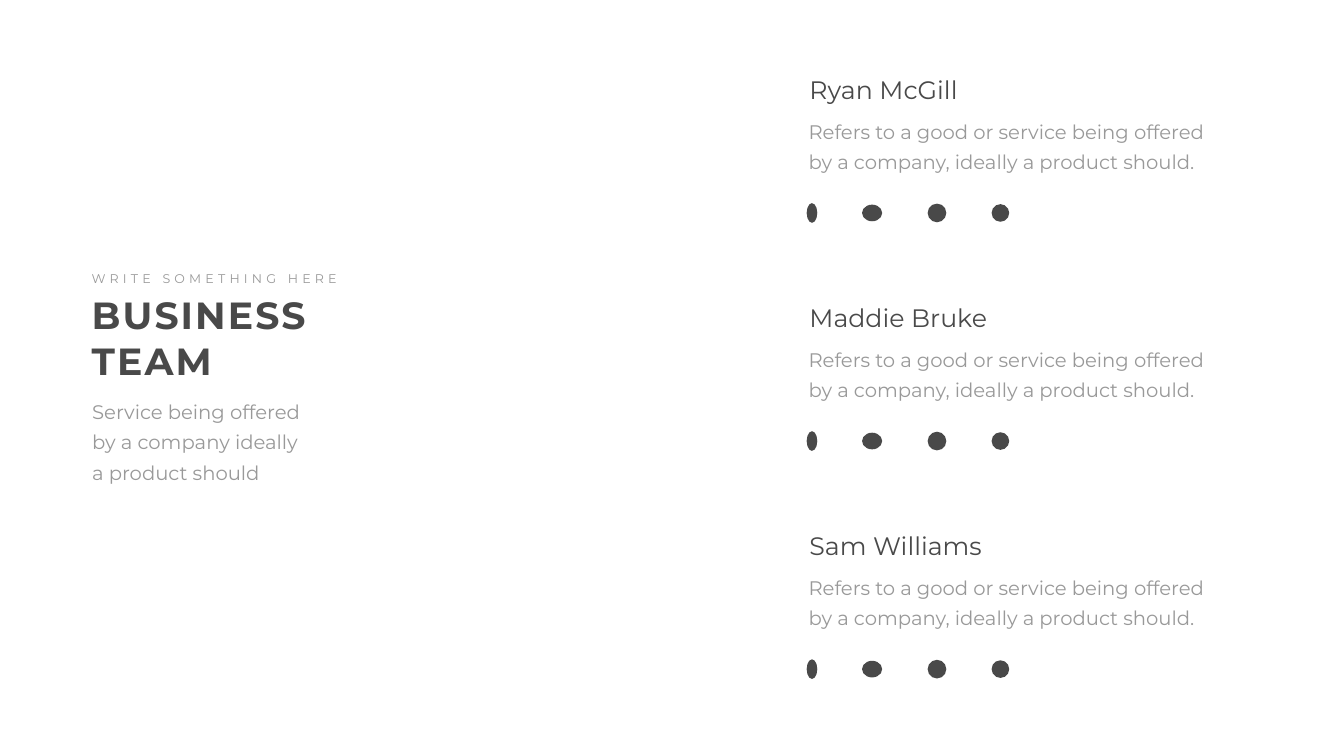
"""Build a business team slide with a heading block and three member profiles."""
from dataclasses import dataclass

from pptx import Presentation
from pptx.dml.color import RGBColor
from pptx.enum.shapes import MSO_SHAPE
from pptx.enum.text import MSO_ANCHOR, MSO_AUTO_SIZE, PP_ALIGN
from pptx.util import Inches, Pt


@dataclass(frozen=True)
class Theme:
    font: str = "Montserrat"
    dark: RGBColor = RGBColor(0x49, 0x49, 0x49)
    gray: RGBColor = RGBColor(0x99, 0x99, 0x99)
    heading: int = 54
    name: int = 36
    body: int = 28
    label: int = 18
    leading: int = 43


THEME = Theme()

LABEL = "WRITE SOMETHING HERE"
HEADING = "BUSINESS TEAM"
INTRODUCTION = "Service being offered by a company ideally a product should"
PROFILE = "Refers to a good or service being offered by a company, ideally a product should."
MEMBERS = ["Ryan McGill", "Maddie Bruke", "Sam Williams"]

WIDTH, HEIGHT = 26.66, 15
COLUMN, ROW = Inches(WIDTH) / 100, Inches(HEIGHT) / 100

LABEL_BOX = (6.45, 35.47, 19.43, 2.67)
HEADING_BOX = (6.45, 38.27, 19.43, 12.8)
INTRODUCTION_BOX = (5.96, 51.27, 18.19, 13.33)
NAME_BOX = (59.86, 9.53, 18.04, 4.73)
PROFILE_BOX = (59.26, 14.2, 32.86, 9.27)
ICONS = [(60.02, 0.79, 2.6), (64.14, 1.5, 2.2), (69.02, 1.39, 2.47), (73.78, 1.31, 2.33)]
ICON_MIDDLE = 28.17
MEMBER_PITCH = 30.17

BODY_FORMAT = dict(size=THEME.body, color=THEME.gray, leading=THEME.leading, inset=(0.24, 0.12))


def grid(left, top, width, height, shift=0):
    return (round(left * COLUMN), round((top + shift) * ROW),
            round(width * COLUMN), round(height * ROW))


def move(shape, box):
    shape.left, shape.top, shape.width, shape.height = box
    return shape


def write(shape, text, *, size, color, bold=False, tracking=0, leading=None,
          inset=(0.1, 0.05), wrap=True):
    frame = shape.text_frame
    frame.auto_size = MSO_AUTO_SIZE.NONE
    frame.word_wrap = wrap
    frame.vertical_anchor = MSO_ANCHOR.TOP
    frame.margin_left = frame.margin_right = Inches(inset[0])
    frame.margin_top = frame.margin_bottom = Inches(inset[1])
    paragraph = frame.paragraphs[0]
    paragraph.alignment = PP_ALIGN.LEFT
    paragraph.space_before = Pt(0)
    if leading:
        paragraph.line_spacing = Pt(leading)
    run = paragraph.add_run()
    run.text = text
    run.font.name = THEME.font
    run.font.size = Pt(size)
    run.font.bold = bold
    run.font.color.rgb = color
    if tracking:
        run._r.get_or_add_rPr().set("spc", str(tracking * 100))


def add_icon(slide, box):
    shape = slide.shapes.add_shape(MSO_SHAPE.OVAL, *box)
    shape.shadow.inherit = False
    shape.fill.solid()
    shape.fill.fore_color.rgb = THEME.dark
    shape.line.fill.background()


def add_member(slide, name, shift):
    write(slide.shapes.add_textbox(*grid(*PROFILE_BOX, shift)), PROFILE, **BODY_FORMAT)
    write(slide.shapes.add_textbox(*grid(*NAME_BOX, shift)), name,
          size=THEME.name, color=THEME.dark)
    for left, width, height in ICONS:
        add_icon(slide, grid(left, ICON_MIDDLE - height / 2, width, height, shift))


def main():
    presentation = Presentation()
    presentation.slide_width, presentation.slide_height = Inches(WIDTH), Inches(HEIGHT)
    slide = presentation.slides.add_slide(presentation.slide_layouts.get_by_name("Section Header"))
    write(move(slide.shapes.title, grid(*HEADING_BOX)), HEADING,
          size=THEME.heading, color=THEME.dark, bold=True, tracking=3)
    write(slide.shapes.add_textbox(*grid(*LABEL_BOX)), LABEL,
          size=THEME.label, color=THEME.gray, tracking=6, wrap=False)
    write(move(slide.placeholders[1], grid(*INTRODUCTION_BOX)), INTRODUCTION, **BODY_FORMAT)
    for index, name in enumerate(MEMBERS):
        add_member(slide, name, index * MEMBER_PITCH)
    presentation.save("out.pptx")


if __name__ == "__main__":
    main()
